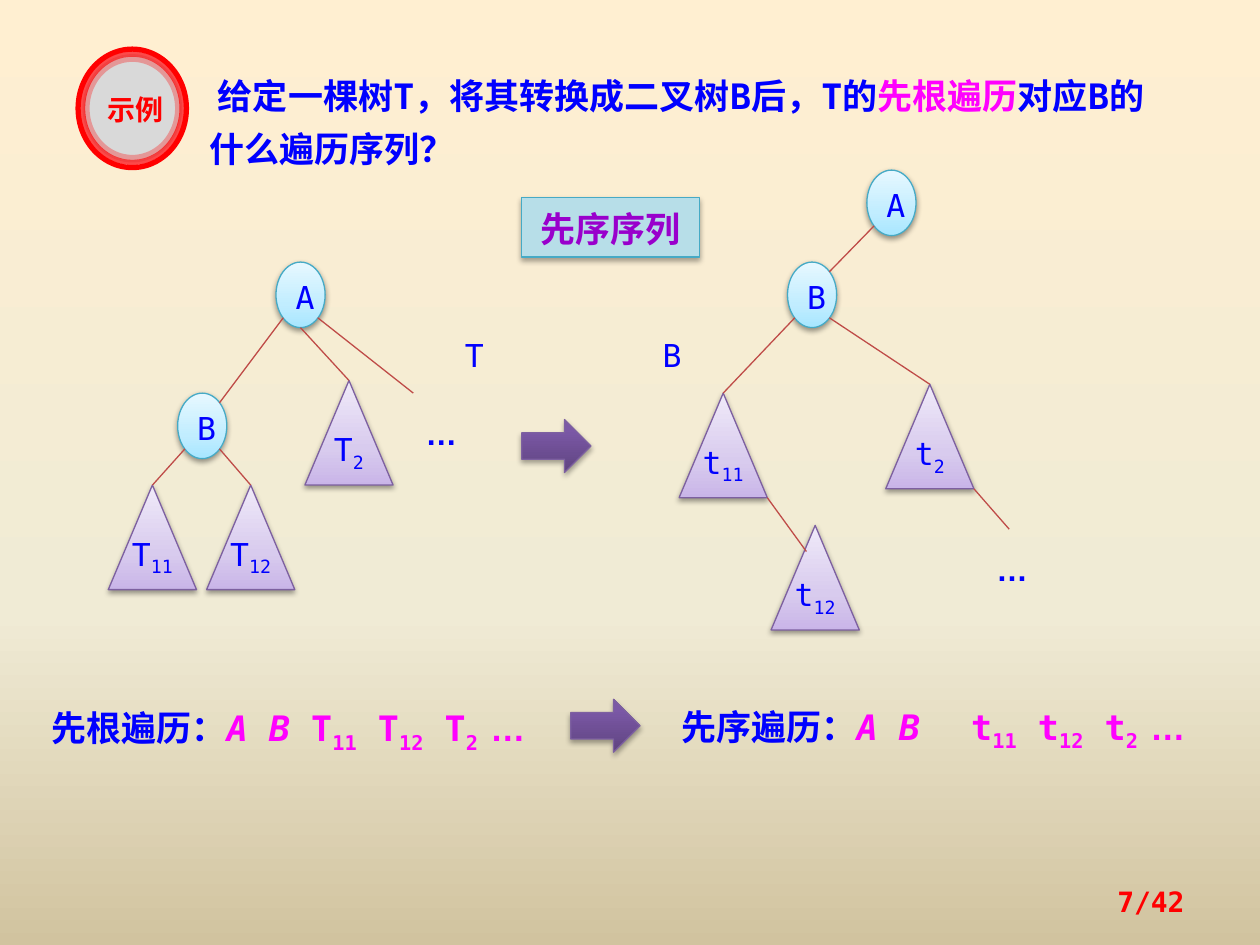
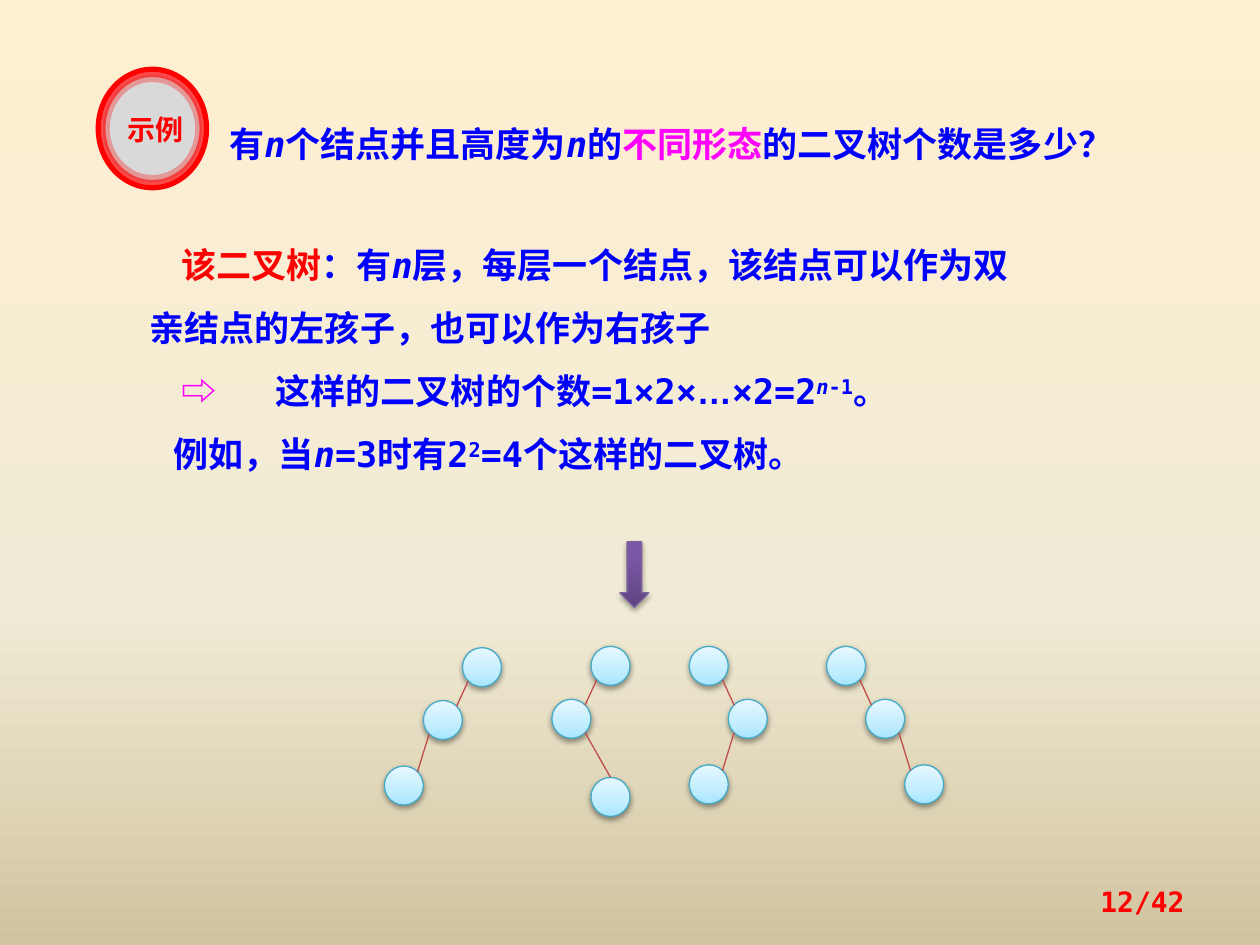
"""Build two slides on traversing and counting binary trees."""
from lxml import etree
from pptx import Presentation
from pptx import util as u
from pptx.dml.color import RGBColor
from pptx.enum import shapes, text
from pptx.oxml.ns import qn

BLUE = RGBColor(0x00, 0x00, 0xFF)
MAGENTA = RGBColor(0xFF, 0x00, 0xFF)
RED = RGBColor(0xFF, 0x00, 0x00)
VIOLET = RGBColor(0x99, 0x00, 0xCC)
PURPLE_LINE = RGBColor(0x7D, 0x60, 0xA0)
TEAL_LINE = RGBColor(0x46, 0xAA, 0xC5)
EDGE_RED = RGBColor(0xBF, 0x4C, 0x48)
PALE_TEAL = RGBColor(0xB7, 0xDE, 0xE8)
NEAR_WHITE = RGBColor(0xF8, 0xF8, 0xF8)
GREY = RGBColor(0xD9, 0xD9, 0xD9)

PAPER = ((0, "FFEFD1"), (65, "F0EBD5"), (100, "D1C39F"))
ARROW_FILL = ((0, "5F4480"), (80, "7B58A6"), (100, "7C57A8"))
NODE_FILL = ((0, "A7E6FF"), (35, "C1EDFF"), (100, "E7F8FF"))
SUBTREE_FILL = ((0, "C9B5E8"), (35, "D8CBEE"), (100, "F0EAF9"))

MONO, LATIN, CHINESE = "DejaVu Sans Mono", "Arial", "Noto Sans CJK SC"
SHAPE = shapes.MSO_SHAPE
ALIGN = text.PP_ALIGN
ANCHOR = text.MSO_ANCHOR

TOP, BOTTOM, CORNER = (0.5, 0), (0.5, 1), (1, 1)
UPPER_LEFT, UPPER_RIGHT = (0.15, 0.15), (0.85, 0.15)
LOWER_LEFT, LOWER_RIGHT = (0.15, 0.85), (0.85, 0.85)

ITALIC = {"italic": True}
PINK = {"color": MAGENTA}
PINK_ITALIC = {"color": MAGENTA, "italic": True}
PINK_SUB = {"color": MAGENTA, "baseline": -25}
PINK_LATIN = {"color": MAGENTA, "font": LATIN}
SUB, SUPER = {"baseline": -25}, {"baseline": 30}


class Deck:
    """Hold the presentation's style and current slide, and draw its elements."""

    def __init__(self):
        self.presentation = Presentation()
        self.presentation.slide_width = u.Inches(10)
        self.presentation.slide_height = u.Inches(7.5)
        master = self.presentation.slide_master
        self.gradient(master.background.fill, master._element, PAPER, 270)
        self.slide = None

    def gradient(self, fill, element, stops, angle=90):
        fill.gradient()
        fill.gradient_angle = angle
        stop_list = element.find(".//" + qn("a:gsLst"))
        for stop in list(stop_list):
            stop_list.remove(stop)
        for position, color in stops:
            stop = etree.SubElement(stop_list, qn("a:gs"), pos=str(position * 1000))
            etree.SubElement(stop, qn("a:srgbClr"), val=color)

    def new_slide(self, page, title_box, title_runs, badge_at, first_line=0):
        self.slide = self.presentation.slides.add_slide(self.presentation.slide_layouts[5])
        title = self.slide.shapes.title
        title.left, title.top, title.width, title.height = map(u.Inches, title_box)
        self.frame(title, ANCHOR.TOP)
        self.add_text(title, title_runs, spacing=u.Pt(30), bold=True, first_line=first_line)
        self.badge(*badge_at)
        self.label((7.17, 6.95, 2.33, 0.4), [(page, {})], anchor=ANCHOR.MIDDLE,
                   align=ALIGN.RIGHT, size=16, color=RED, bold=True, spacing=None)

    def frame(self, shape, anchor, inset=None):
        frame = shape.text_frame
        frame.word_wrap = True
        frame.auto_size = text.MSO_AUTO_SIZE.NONE
        frame.vertical_anchor = anchor
        if inset is not None:
            frame.margin_left = frame.margin_right = u.Inches(inset)
            frame.margin_top = frame.margin_bottom = u.Inches(inset)

    def add_text(self, shape, runs, paragraph=None, align=ALIGN.LEFT, spacing=None,
                 first_line=0, tab=None, **style):
        paragraph = paragraph or shape.text_frame.paragraphs[0]
        paragraph.alignment = align
        paragraph.line_spacing = spacing
        properties = paragraph._p.get_or_add_pPr()
        if first_line:
            properties.set("indent", str(u.Inches(first_line)))
        if tab:
            tabs = etree.SubElement(properties, qn("a:tabLst"))
            etree.SubElement(tabs, qn("a:tab"), pos=str(u.Inches(tab)), algn="l")
        for words, changes in runs:
            self.add_run(paragraph, words, **{**style, **changes})

    def add_run(self, paragraph, words, size=20, color=BLUE, bold=False, italic=False,
                font=MONO, baseline=0):
        run = paragraph.add_run()
        run.text = words
        run.font.size = u.Pt(size)
        run.font.color.rgb = color
        run.font.bold = bold
        run.font.italic = italic
        run.font.name = font
        properties = run._r.get_or_add_rPr()
        east_asian = LATIN if font == LATIN else CHINESE
        etree.SubElement(properties, qn("a:ea"), typeface=east_asian)
        if baseline:
            properties.set("baseline", str(baseline * 1000))

    def label(self, box, runs, anchor=ANCHOR.TOP, spacing=u.Pt(30), **style):
        shape = self.slide.shapes.add_textbox(*map(u.Inches, box))
        self.frame(shape, anchor)
        self.add_text(shape, runs, spacing=spacing, **style)
        return shape

    def shape(self, kind, box, fill, line, width=0.75, alpha=None, shadow=None):
        shape = self.slide.shapes.add_shape(kind, *map(u.Inches, box))
        if fill is None:
            shape.fill.background()
        elif isinstance(fill, RGBColor):
            shape.fill.solid()
            shape.fill.fore_color.rgb = fill
        else:
            self.gradient(shape.fill, shape._element, fill)
        shape.line.color.rgb = line
        shape.line.width = u.Pt(width)
        if alpha:
            color = shape._element.spPr.find(qn("a:ln")).find(".//" + qn("a:srgbClr"))
            etree.SubElement(color, qn("a:alpha"), val=str(alpha * 1000))
        shape.shadow.inherit = False
        if shadow:
            opacity, distance = shadow
            effects = shape._element.spPr.find(qn("a:effectLst"))
            outer = etree.SubElement(effects, qn("a:outerShdw"), blurRad="40000",
                                     dist=str(u.Pt(distance)), dir="5400000", rotWithShape="0")
            black = etree.SubElement(outer, qn("a:srgbClr"), val="000000")
            etree.SubElement(black, qn("a:alpha"), val=str(opacity * 1000))
        return shape

    def arrow(self, kind, box):
        self.shape(kind, box, ARROW_FILL, PURPLE_LINE, shadow=(35, 1.8))

    def node(self, left, top, name=None, width=0.39, height=0.52):
        node = self.shape(SHAPE.OVAL, (left, top, width, height), NODE_FILL, TEAL_LINE,
                          shadow=(38, 1.6))
        if name:
            self.frame(node, ANCHOR.MIDDLE)
            self.add_text(node, [(name, {})], align=ALIGN.CENTER, spacing=1.1, size=18)
        return node

    def subtree(self, left, top, letter, index):
        triangle = self.shape(SHAPE.ISOSCELES_TRIANGLE, (left, top, 0.7, 0.83),
                              SUBTREE_FILL, PURPLE_LINE, shadow=(38, 1.6))
        self.frame(triangle, ANCHOR.MIDDLE, inset=0)
        self.add_text(triangle, [(letter, {}), (index, SUB)], align=ALIGN.CENTER,
                      spacing=u.Pt(16), size=18)
        return triangle

    def link(self, parent, site, end, end_site=None):
        points = [self.point(parent, site), self.point(end, end_site) if end_site
                  else tuple(map(u.Inches, end))]
        connector = self.slide.shapes.add_connector(
            shapes.MSO_CONNECTOR.STRAIGHT, *points[0], *points[1])
        connector.line.color.rgb = EDGE_RED
        connector.line.width = u.Pt(0.75)
        etree.SubElement(connector._element.spPr, qn("a:effectLst"))

    def point(self, shape, site):
        return (round(shape.left + shape.width * site[0]),
                round(shape.top + shape.height * site[1]))

    def badge(self, left, top):
        rings = ((NEAR_WHITE, None), (GREY, 70), (None, 30))
        for step, (fill, alpha) in enumerate(rings):
            box = (left + 0.07 * step / 2, top + 0.04 * step,
                   0.86 - 0.07 * step, 0.94 - 0.08 * step)
            self.shape(SHAPE.OVAL, box, fill, RED, width=3, alpha=alpha)
        self.label((left + 0.09, top + 0.27, 0.73, 0.32), [("示例", {})], spacing=1.1,
                   align=ALIGN.CENTER, size=16, color=RED, bold=True, font=CHINESE)


def traversal_slide(deck):
    deck.new_slide("7/42", (1.56, 0.46, 7.81, 0.94), [
        ("给定一棵树T，将其转换成二叉树B后，T的", {}),
        ("先根遍历", PINK),
        ("对应B的什么遍历序列？", {}),
    ], badge_at=(0.62, 0.39), first_line=0.07)

    sequences = (((0.31, 5.52, 3.98, 0.52), "先根遍历：", "T", " ", None),
                 ((5.31, 5.51, 4.22, 0.52), "先序遍历：", "t", "\t", 2.3))
    for box, heading, letter, gap, tab in sequences:
        deck.label(box, [
            (heading, {}), ("A B", PINK_ITALIC),
            (gap + letter, PINK), ("11", PINK_SUB),
            (" " + letter, PINK), ("12", PINK_SUB),
            (" " + letter, PINK), ("2 ", PINK_SUB), ("…", PINK_LATIN),
        ], bold=True, tab=tab)
    for left, top in ((4.53, 5.55), (4.14, 3.33)):
        deck.arrow(SHAPE.RIGHT_ARROW, (left, top, 0.55, 0.42))

    tree_a, tree_b = deck.node(2.19, 2.08, "A"), deck.node(1.41, 3.12, "B")
    tree_11 = deck.subtree(0.86, 3.85, "T", "11")
    tree_12 = deck.subtree(1.64, 3.85, "T", "12")
    tree_2 = deck.subtree(2.42, 3.02, "T", "2")
    deck.link(tree_a, LOWER_LEFT, tree_b, UPPER_RIGHT)
    deck.link(tree_a, BOTTOM, tree_2, TOP)
    deck.link(tree_a, LOWER_RIGHT, (3.28, 3.12))
    deck.link(tree_b, LOWER_LEFT, tree_11, TOP)
    deck.link(tree_b, LOWER_RIGHT, tree_12, TOP)

    binary_a, binary_b = deck.node(6.88, 1.35, "A"), deck.node(6.25, 2.08, "B")
    binary_11 = deck.subtree(5.39, 3.12, "t", "11")
    binary_12 = deck.subtree(6.12, 4.17, "t", "12")
    binary_2 = deck.subtree(7.03, 3.05, "t", "2")
    deck.link(binary_a, LOWER_LEFT, binary_b, UPPER_RIGHT)
    deck.link(binary_b, LOWER_LEFT, binary_11, TOP)
    deck.link(binary_b, LOWER_RIGHT, binary_2, TOP)
    deck.link(binary_11, CORNER, binary_12, (0.4, 0.25))
    deck.link(binary_2, CORNER, (8.01, 4.2))

    for left, top in ((3.28, 3.12), (7.81, 4.2)):
        deck.label((left, top, 0.55, 0.46), [("…", {})], size=18, font=LATIN, bold=True)
    for left, name in ((3.59, "T"), (5.16, "B")):
        deck.label((left, 2.5, 0.55, 0.48), [(name, {})], size=18)
    answer = deck.shape(SHAPE.RECTANGLE, (4.14, 1.57, 1.41, 0.47), PALE_TEAL, TEAL_LINE,
                        shadow=(35, 1.8))
    deck.frame(answer, ANCHOR.TOP)
    deck.add_text(answer, [("先序序列", {})], align=ALIGN.CENTER, spacing=u.Pt(26),
                  color=VIOLET, bold=True)


def counting_slide(deck):
    deck.new_slide("12/42", (1.72, 0.84, 8.13, 0.49), [
        ("有", {}), ("n", ITALIC), ("个结点并且高度为", {}), ("n", ITALIC), ("的", {}),
        ("不同形态", PINK), ("的二叉树个数是多少？", {}),
    ], badge_at=(0.78, 0.55))

    body = deck.label((1.09, 1.72, 7.27, 2.12), [
        ("该二叉树", {"color": RED}), ("：有", {}), ("n", ITALIC),
        ("层，每层一个结点，该结点可以作为双亲结点的左孩子，也可以作为右孩子", {}),
    ], spacing=1.5, bold=True, first_line=0.25)
    count = [("⇨\t", PINK), ("这样的二叉树的个数=1×2×", {}), ("…", {"font": LATIN}),
             ("×2=2", {}), ("n", {**ITALIC, **SUPER}), ("-1", SUPER), ("。", {})]
    example = [("例如，当", {}), ("n", ITALIC), ("=3时有2", {}), ("2", SUPER),
               ("=4个这样的二叉树。", {})]
    for runs, first_line, tab in ((count, 0.25, 0.66), (example, 0.19, None)):
        deck.add_text(body, runs, paragraph=body.text_frame.add_paragraph(), spacing=1.5,
                      bold=True, first_line=first_line, tab=tab)

    deck.arrow(SHAPE.DOWN_ARROW, (4.92, 4.3, 0.23, 0.52))
    trees = ((3.67, 5.14, (-1, -1), 0.52, UPPER_RIGHT), (4.69, 5.13, (-1, 1), 0.62, TOP),
             (5.47, 5.13, (1, -1), 0.52, UPPER_RIGHT), (6.56, 5.13, (1, 1), 0.52, UPPER_LEFT))
    for left, top, turns, last_drop, last_site in trees:
        parent = deck.node(left, top, width=0.31, height=0.31)
        first_site = UPPER_RIGHT if turns[0] < 0 else UPPER_LEFT
        levels = zip(turns, (0.42, last_drop), (first_site, last_site))
        for turn, drop, site in levels:
            left, top = left + 0.31 * turn, top + drop
            child = deck.node(left, top, width=0.31, height=0.31)
            deck.link(parent, LOWER_LEFT if turn < 0 else LOWER_RIGHT, child, site)
            parent = child


def main():
    deck = Deck()
    traversal_slide(deck)
    counting_slide(deck)
    deck.presentation.save("out.pptx")


if __name__ == "__main__":
    main()
